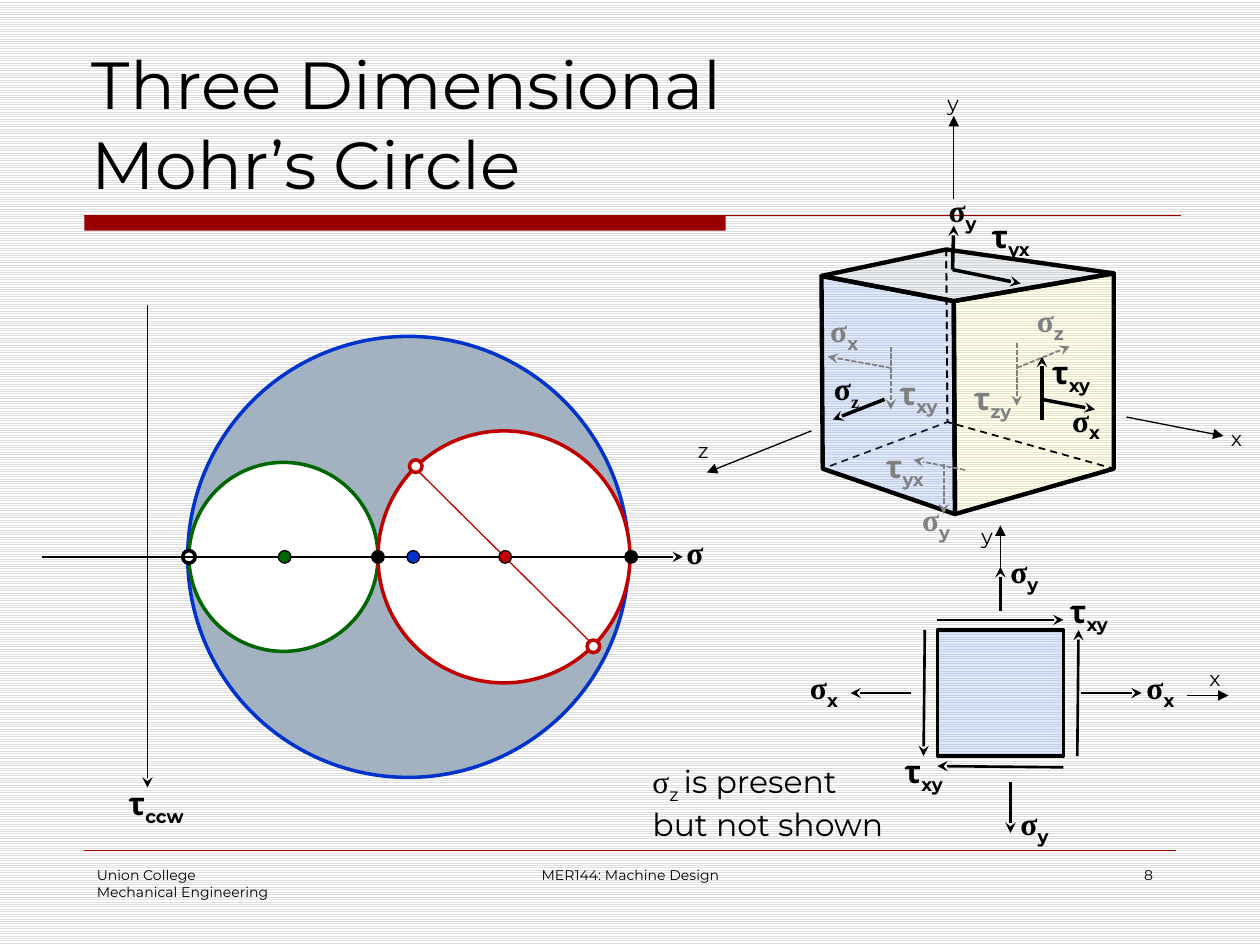
import pptx
import pptx.util
import pptx.dml.color
import pptx.enum.dml
import pptx.enum.shapes
import pptx.enum.text
import pptx.oxml.ns
import lxml.etree

COLS, ROWS = 100, 75
SANS, SERIF = "Montserrat", "Times New Roman"
BLACK, GRAY, WHITE = "000000", "808080", "FFFFFF"
RED, BLUE, GREEN, WINE = "C00000", "0033CC", "006600", "990000"
SKY, SLATE, CREAM = "6699FF", "A3B2C1", "FFFF99"
OVAL = pptx.enum.shapes.MSO_SHAPE.OVAL
RECT = pptx.enum.shapes.MSO_SHAPE.RECTANGLE
DASH = pptx.enum.dml.MSO_LINE.DASH
DOTS = pptx.enum.dml.MSO_LINE.SQUARE_DOT
LEFT, MID, RIGHT = (pptx.enum.text.PP_ALIGN.LEFT, pptx.enum.text.PP_ALIGN.CENTER,
                    pptx.enum.text.PP_ALIGN.RIGHT)

deck = pptx.Presentation()
deck.slide_width, deck.slide_height = pptx.util.Inches(10), pptx.util.Inches(7.5)
slide = deck.slides.add_slide(deck.slide_layouts[5])


def rgb(code):
    """Turn a hex string into a colour."""
    return pptx.dml.color.RGBColor.from_string(code)


def size(cols, rows):
    """Turn grid columns and rows into lengths."""
    return int(deck.slide_width * cols / COLS), int(deck.slide_height * rows / ROWS)


def spot(box, col, row):
    """Place a grid point relative to a box."""
    return size(box[0] + col, box[1] + row)


def node(parent, tag, **attrs):
    """Append a drawing element."""
    return lxml.etree.SubElement(parent, pptx.oxml.ns.qn(tag), **attrs)


def paint(shape, fill, edge, width, alpha=None, dash=None):
    """Set fill, outline and transparency."""
    shape.shadow.inherit = False
    if fill:
        shape.fill.solid()
        shape.fill.fore_color.rgb = rgb(fill)
        if alpha:
            tint = shape._element.spPr.find(".//" + pptx.oxml.ns.qn("a:srgbClr"))
            node(tint, "a:alpha", val=str(alpha * 1000))
    else:
        shape.fill.background()
    if edge:
        shape.line.color.rgb = rgb(edge)
        shape.line.width = pptx.util.Pt(width)
        if dash:
            shape.line.dash_style = dash
    else:
        shape.line.fill.background()


def stroke(box, start, end, width=1, head=None, color=BLACK, dash=None):
    """Draw a straight line, with an arrowhead if named."""
    line = slide.shapes.add_connector(pptx.enum.shapes.MSO_CONNECTOR.STRAIGHT,
                                      *spot(box, *start), *spot(box, *end))
    line.line.color.rgb = rgb(color)
    line.line.width = pptx.util.Pt(width)
    if dash:
        line.line.dash_style = dash
    if head:
        node(line.line._get_or_add_ln(), "a:tailEnd", type=head)
    node(line._element.spPr, "a:effectLst")


def disc(box, col, row, radius, fill, edge, width):
    """Draw a circle about its centre."""
    shape = slide.shapes.add_shape(OVAL, *spot(box, col - radius, row - radius),
                                   *size(2 * radius, 2 * radius))
    paint(shape, fill, edge, width)


def face(box, points, fill=None, width=2.5, dash=None):
    """Draw a closed outline."""
    first, *rest = [spot(box, *point) for point in points]
    pen = slide.shapes.build_freeform(*first, scale=1.0)
    pen.add_line_segments(rest, close=True)
    paint(pen.convert_to_shape(), fill, BLACK, width, 20, dash)


def style(run, points, font=SANS, color=BLACK, bold=False, sub=False):
    """Format one run."""
    run.font.size = pptx.util.Pt(points)
    run.font.name = font
    run.font.bold = bold
    run.font.color.rgb = rgb(color)
    if sub:
        run._r.get_or_add_rPr().set("baseline", "-25000")


def frame(box, col, row, width, height, wrap=True):
    """Add a text box and return its frame."""
    area = slide.shapes.add_textbox(*spot(box, col, row), *size(width, height))
    area.text_frame.word_wrap = wrap
    return area.text_frame


def words(box, col, row, width, height, text, points, align=LEFT):
    """Write plain paragraphs."""
    body = frame(box, col, row, width, height)
    body.text = text
    for para in body.paragraphs:
        para.alignment = align
        for run in para.runs:
            style(run, points)


def sign(box, col, row, text, color=BLACK, low=SANS):
    """Write a bold Greek letter with its subscript."""
    wide, tall = (4.5, 4) if text[0] == "σ" else (5.3 if len(text) < 4 else 7, 7.1)
    para = frame(box, col, row, wide if text[1:] else 3.4, tall, False).paragraphs[0]
    for part, sub in ((text[0], False), (text[1:], True)):
        if part:
            run = para.add_run()
            run.text = part
            font = low if sub else SERIF if part == "σ" else SANS
            style(run, 18, font, color, True, sub)


def head(box):
    """Set the title above its rule."""
    title = slide.shapes.title
    title.left, title.top = spot(box, 0, 0)
    title.width, title.height = size(87.5, 13.3)
    body = title.text_frame
    body.text = "Three Dimensional\vMohr’s Circle"
    body.vertical_anchor = pptx.enum.text.MSO_ANCHOR.BOTTOM
    body.paragraphs[0].alignment = LEFT
    for run in body.paragraphs[0].runs:
        style(run, 38)
    bar = slide.shapes.add_shape(RECT, *spot(box, 0.4, 13.8), *size(50.9, 1.2))
    paint(bar, WINE, None, 0)
    stroke(box, (0.4, 13.8), (87.4, 13.8), 0.75, color=WINE)


def foot(box):
    """Set the footer texts under a thin rule."""
    stroke(box, (0, 0), (86.6, 0), 0.25, color=WINE)
    words(box, 0, 0.8, 20.8, 5, "Union College\nMechanical Engineering", 8)
    words(box, 27.5, 0.8, 31.7, 5, "MER144: Machine Design", 8, MID)
    words(box, 65, 0.8, 20.8, 5, "8", 8, RIGHT)


def mohr(box):
    """Draw the three circles with their axes."""
    mid = 24.2
    stroke(box, (11.7, 4.2), (11.7, 42.5), 1, "stealth")
    for col, radius, fill, edge in ((32.4, 17.5, SLATE, BLUE), (22.5, 7.5, WHITE, GREEN),
                                    (40, 10, WHITE, RED)):
        disc(box, col, mid, radius, fill, edge, 2)
    for col, fill, width in ((50.1, BLACK, 0.75), (30, BLACK, 0.75), (15, WHITE, 2)):
        disc(box, col, mid, 0.5, fill, BLACK, width)
    stroke(box, (32.9, 17.1), (47.1, 31.2), 0.75, color=RED)
    for col, row in ((33, 17), (47.1, 31.3)):
        disc(box, col, row, 0.5, WHITE, RED, 2)
    stroke(box, (3.3, mid), (54.2, mid), 1, "stealth")
    for col, fill in ((22.6, GREEN), (32.8, BLUE), (40.1, RED)):
        disc(box, col, mid, 0.5, fill, BLACK, 0.75)
    sign(box, 9.2, 41.7, "τccw")
    sign(box, 53.5, 21.8, "σ")


def cube(box):
    """Draw the stressed cube with its axes."""
    west, front, east, back = (15.2, 16.9), (25.7, 18.9), (38.4, 16.7), (25.1, 14.8)
    west2, front2, east2, back2 = (15.3, 32.2), (25.8, 35.8), (38.4, 32.2), (25.2, 28.5)
    face(box, (front2, front, east, east2), CREAM)
    face(box, (back, west, west2, back2), None, 1, DASH)
    face(box, (front2, front, west, west2), SKY)
    face(box, (west, front, east, back), SLATE)
    face(box, (east2, east, back, back2), None, 1, DASH)
    for start, end in (((25.6, 16.4), (31, 17.5)), ((25.6, 16.4), (25.7, 12.9)),
                       ((20.2, 26.7), (16.1, 28.3)), ((32.7, 26.7), (36.9, 27.5)),
                       ((32.7, 28.3), (32.7, 23.3))):
        stroke(box, start, end, 2, "stealth")
    for start, end in (((25.7, 10.8), (25.7, 4.2)), ((39.4, 28.1), (47.1, 29.6)),
                       ((14.4, 29.2), (6.1, 32.5))):
        stroke(box, start, end, 0.75, "triangle")
    for start, end in (((26.6, 32.3), (22.5, 31.5)), ((24.9, 31.8), (24.9, 35.8)),
                       ((30.7, 24.2), (34.9, 22.5)), ((30.7, 22.2), (30.7, 27.2)),
                       ((20.7, 24.2), (15.7, 23.3)), ((20.7, 22.5), (20.7, 27.5))):
        stroke(box, start, end, 1, "stealth", GRAY, DOTS)
    for col, row, text in ((4.4, 29.2, "z"), (24.2, 1.7, "y"), (46.7, 28.3, "x")):
        words(box, col, row, 3.3, 3, text, 12)
    for col, row, text in ((34.1, 26.3, "σx"), (24.3, 9.7, "σy"),
                           (32.5, 22.5, "τxy"), (27.7, 11.7, "τyx")):
        sign(box, col, row, text)
    sign(box, 15.2, 23.8, "σz", low=SERIF)
    for col, row, text in ((22.2, 34.2, "σy"), (19.3, 30, "τyx"), (14.9, 19.2, "σx"),
                           (31.3, 18.4, "σz"), (20.4, 24.2, "τxy"), (26.3, 24.6, "τzy")):
        sign(box, col, row, text, GRAY)


def plane(box):
    """Draw the plane stress element with its axes."""
    shape = slide.shapes.add_shape(RECT, *spot(box, 14.4, 10), *size(10, 10))
    paint(shape, SKY, BLACK, 2, 20)
    for start, end, width in (((19.4, 8.5), (19.4, 5), 2), ((20.2, 22.1), (20.2, 26.1), 2),
                              ((14.4, 9.2), (24.4, 9.2), 1.5), ((24.4, 20.9), (14.4, 20.8), 1.5),
                              ((25.5, 20), (25.6, 10), 1.5), ((13.4, 10), (13.3, 20), 1.5),
                              ((25.8, 15), (30.6, 15), 1.5), ((12.3, 15), (7.5, 15), 1.5)):
        stroke(box, start, end, width, "stealth")
    stroke(box, (19.4, 5), (19.4, 1.7), 0.75, "triangle")
    stroke(box, (34.2, 15.2), (37.5, 15.2), 0.75, "triangle")
    words(box, 16.9, 1.1, 3.3, 3, "y", 12)
    words(box, 35, 12.3, 3.3, 3, "x", 12)
    for col, row, text in ((23.9, 6.5, "τxy"), (10.8, 19.2, "τxy"), (30, 12.5, "σx"),
                           (3.3, 12.5, "σx"), (19.2, 3.3, "σy"), (20, 23.3, "σy")):
        sign(box, col, row, text)


def note(box):
    """Write the remark on the hidden stress."""
    body = frame(box, 0, 0, 21.9, 7.1, False)
    first = body.paragraphs[0]
    for text, font, sub in (("σ", SERIF, False), ("z ", SANS, True), ("is present", SANS, False)):
        run = first.add_run()
        run.text = text
        style(run, 18, font, sub=sub)
    last = body.add_paragraph()
    last.text = "but not shown"
    style(last.runs[0], 18)


def main():
    """Build the slide and save it."""
    ground = slide.background.fill
    ground.patterned()
    ground.pattern = pptx.enum.dml.MSO_PATTERN.LIGHT_HORIZONTAL
    ground.fore_color.rgb, ground.back_color.rgb = rgb("DDDDDD"), rgb(WHITE)
    head((6.3, 3.3))
    foot((6.7, 67.5))
    mohr((0, 20))
    cube((50, 5))
    plane((60, 40))
    note((50.8, 60))
    deck.save("out.pptx")


if __name__ == "__main__":
    main()
